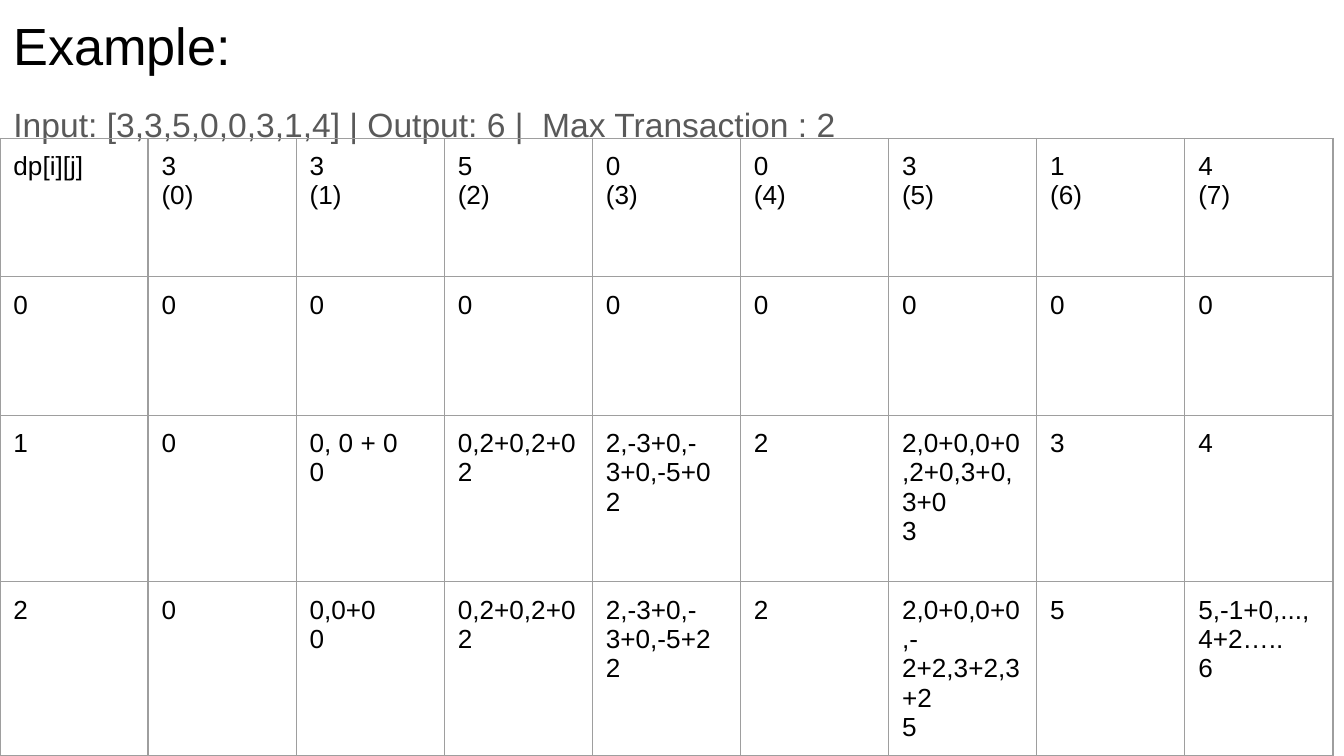
from lxml.etree import SubElement
from pptx import Presentation
from pptx.dml.color import RGBColor as Color
from pptx.enum.text import MSO_ANCHOR as Anchor, MSO_AUTO_SIZE as AutoSize, PP_ALIGN as Align
from pptx.oxml.ns import qn
from pptx.util import Inches, Pt

TITLE = "Example:"
SUMMARY = "Input: [3,3,5,0,0,3,1,4] | Output: 6 |  Max Transaction : 2"
PRICES = [3, 3, 5, 0, 0, 3, 1, 4]
DP_ROWS = [
    ["dp[i][j]"] + [f"{price}\n({day})" for day, price in enumerate(PRICES)],
    ["0"] * (len(PRICES) + 1),
    ["1", "0", "0, 0 + 0\n0", "0,2+0,2+0\n2", "2,-3+0,-3+0,-5+0\n2", "2",
     "2,0+0,0+0,2+0,3+0,3+0\n3", "3", "4"],
    ["2", "0", "0,0+0\n0", "0,2+0,2+0\n2", "2,-3+0,-3+0,-5+2\n2", "2",
     "2,0+0,0+0,-2+2,3+2,3+2\n5", "5", "5,-1+0,...,\n4+2…..\n6"],
]
COLORS = {"text": "000000", "summary": "595959", "border": "9E9E9E"}
WIDTH = 10
HEIGHT = WIDTH * 9 / 16
TEXT_WIDTH, TITLE_HEIGHT, BODY_HEIGHT = 9.32, 0.63, 3.74
TABLE_TOP, TABLE_WIDTH = 1.03, 9.92
ROW_HEIGHTS = [1.03, 1.03, 1.24, 1.24]
INSET = Inches(0.1)
MARGINS = {f"margin_{side}": INSET for side in ("left", "top", "right", "bottom")}
FRAME = MARGINS | {"word_wrap": True, "auto_size": AutoSize.NONE,
                   "vertical_anchor": Anchor.TOP}
CELL = MARGINS | {"vertical_anchor": Anchor.TOP}


def apply(target, values):
    """Set every attribute named in a dict of format values."""
    for name, value in values.items():
        setattr(target, name, value)


def write(frame, text, size, color, spacing=1.0):
    """Fill a text frame, one paragraph per line of text."""
    frame.text = text
    for para in frame.paragraphs:
        apply(para, {"alignment": Align.LEFT, "line_spacing": spacing,
                     "space_before": Pt(0), "space_after": Pt(0)})
        for span in para.runs:
            apply(span.font, {"name": "Arial", "size": Pt(size), "bold": False})
            span.font.color.rgb = Color.from_string(COLORS[color])


def place(holder, top, height, text, size, color, spacing=1.0):
    """Move a placeholder and write its unbulleted text."""
    apply(holder, {"left": 0, "top": Inches(top), "width": Inches(TEXT_WIDTH),
                   "height": Inches(height)})
    apply(holder.text_frame, FRAME)
    write(holder.text_frame, text, size, color, spacing)
    for para in holder.text_frame.paragraphs:
        props = para._p.get_or_add_pPr()
        props.set("marL", "0")
        props.set("indent", "0")
        SubElement(props, qn("a:buNone"))


def add_borders(cell):
    """Draw a thin line on all four sides of a cell."""
    props = cell._tc.get_or_add_tcPr()
    for side in ("lnL", "lnR", "lnT", "lnB"):
        line = SubElement(props, qn(f"a:{side}"), w=str(Pt(0.75)))
        fill = SubElement(line, qn("a:solidFill"))
        SubElement(fill, qn("a:srgbClr"), val=COLORS["border"])


def add_dp_table(page):
    """Add the grid of dynamic programming states."""
    count = len(DP_ROWS[0])
    table = page.shapes.add_table(
        len(DP_ROWS), count, 0, Inches(TABLE_TOP),
        Inches(TABLE_WIDTH), Inches(sum(ROW_HEIGHTS))).table
    apply(table, {"first_row": False, "horz_banding": False})
    for column in table.columns:
        column.width = Inches(TABLE_WIDTH / count)
    for row, height, texts in zip(table.rows, ROW_HEIGHTS, DP_ROWS):
        row.height = Inches(height)
        for cell, text in zip(row.cells, texts):
            apply(cell, CELL)
            write(cell.text_frame, text, 14, "text")
            add_borders(cell)
            cell.fill.background()


deck = Presentation()
apply(deck, {"slide_width": Inches(WIDTH), "slide_height": Inches(HEIGHT)})
page = deck.slides.add_slide(deck.slide_layouts[1])
place(page.shapes.title, 0, TITLE_HEIGHT, TITLE, 28, "text")
place(page.placeholders[1], TITLE_HEIGHT, BODY_HEIGHT, SUMMARY, 18, "summary", 1.15)
add_dp_table(page)
deck.save("out.pptx")
